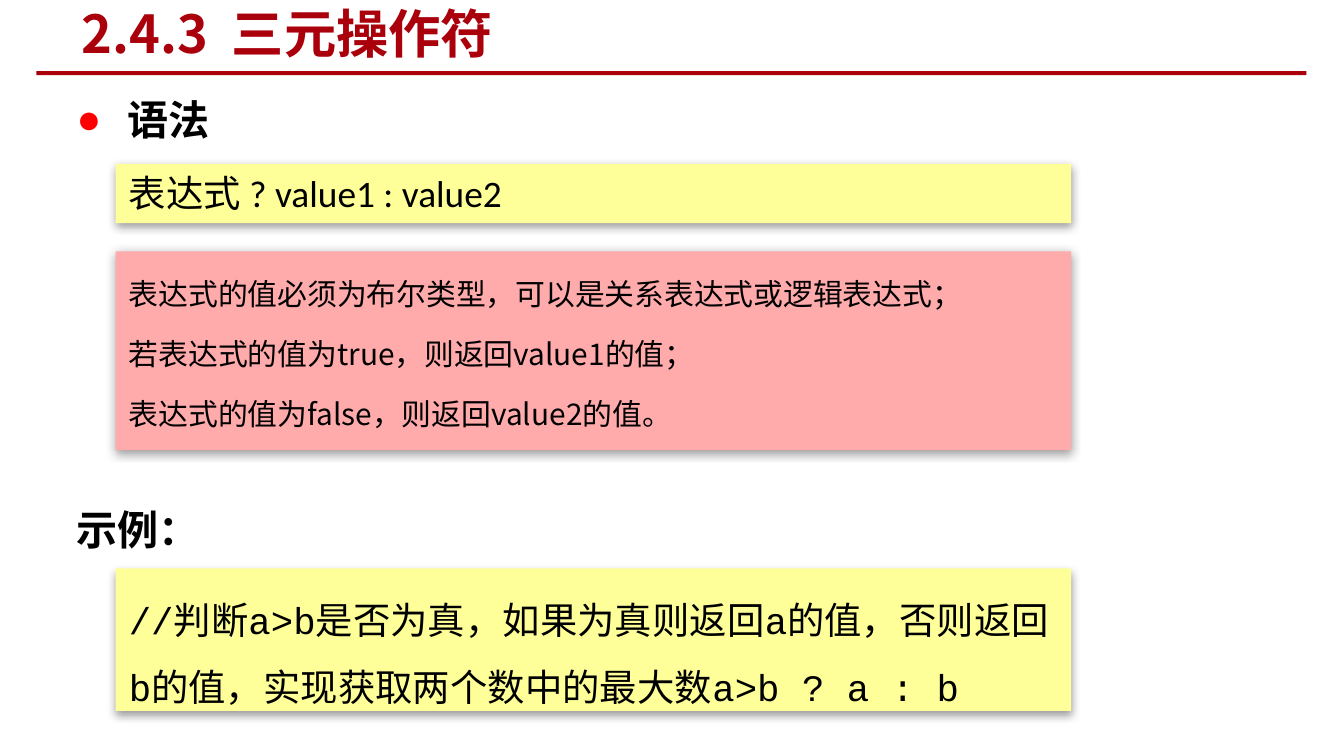
"""Build a slide on the syntax of the ternary operator."""
import pptx
import pptx.util
import pptx.dml.color
import pptx.enum.shapes
import pptx.enum.text
import pptx.oxml
import pptx.oxml.ns

Inches, Pt = pptx.util.Inches, pptx.util.Pt
RGB = pptx.dml.color.RGBColor.from_string
RECT = pptx.enum.shapes.MSO_SHAPE.RECTANGLE
ENUM = pptx.enum.text

THEME = {
    "red": "AA000B", "dot": "FF0000", "ink": "000000",
    "yellow": "FFFF99", "pink": "FFAAAB",
    "cjk": "Noto Sans CJK SC", "head": "Arial", "code": "Courier New", "text": "Calibri",
    "title": 28, "topic": 22, "large": 20, "small": 16,
}
PAGE = {"slide_width": Inches(10), "slide_height": Inches(10 * 9 / 16)}
TITLE = "2.4.3  三元操作符"
TOPICS = [("语法", True, 0), ("示例：", False, 180)]
LEFT, WIDTH = 0.86, 7.11
PANELS = [
    {"top": 1.22, "height": 0.44, "fill": "yellow", "font": "text", "size": "large",
     "lead": 1.2, "gap": 0, "lines": ["表达式 ? value1 : value2"]},
    {"top": 1.87, "height": 1.48, "fill": "pink", "font": "cjk", "size": "small",
     "lead": 1.8, "gap": 0.2, "lines": [
         "表达式的值必须为布尔类型，可以是关系表达式或逻辑表达式；",
         "若表达式的值为true，则返回value1的值；",
         "表达式的值为false，则返回value2的值。"]},
    {"top": 4.23, "height": 1.06, "fill": "yellow", "font": "code", "size": "large",
     "lead": 1.8, "gap": 0, "lines": [
         "//判断a>b是否为真，如果为真则返回a的值，否则返回b的值，实现获取两个数中的最大数a>b ? a : b"]},
]
FRAME = {
    "word_wrap": True, "auto_size": ENUM.MSO_AUTO_SIZE.NONE,
    "vertical_anchor": ENUM.MSO_ANCHOR.TOP,
    "margin_left": Inches(0.1), "margin_right": Inches(0.1),
    "margin_top": Inches(0.05), "margin_bottom": Inches(0.05),
}


def apply(target, values):
    for name, value in values.items():
        setattr(target, name, value)


def place(shape, left, top, width, height):
    apply(shape, {"left": Inches(left), "top": Inches(top),
                  "width": Inches(width), "height": Inches(height)})


def add_xml(parent, body):
    space = pptx.oxml.ns.nsdecls("a")
    for node in pptx.oxml.parse_xml(f"<a:list {space}>{body}</a:list>"):
        parent.append(node)


def write(para, text, font, size, color="ink", bold=False, lead=None, before=0):
    apply(para, {"alignment": ENUM.PP_ALIGN.LEFT, "space_before": Pt(before),
                 "space_after": Pt(0),
                 "line_spacing": Pt(THEME[size] * lead) if lead else 1.0})
    run = para.add_run()
    apply(run, {"text": text})
    apply(run.font, {"name": THEME[font], "size": Pt(THEME[size]), "bold": bold})
    run.font.color.rgb = RGB(THEME[color])
    add_xml(run.font._element, f'<a:ea typeface="{THEME["cjk"]}"/>')


def get_para(frame, index):
    return frame.add_paragraph() if index else frame.paragraphs[0]


def add_rect(slide, area, color):
    shape = slide.shapes.add_shape(RECT, *map(Inches, area))
    shape.shadow.inherit = False
    shape.fill.solid()
    shape.fill.fore_color.rgb = RGB(THEME[color])
    shape.line.fill.background()
    return shape


def add_title(slide):
    shape = slide.shapes.title
    place(shape, 0.51, 0.02, 5.3, 0.45)
    apply(shape.text_frame, {**FRAME, "vertical_anchor": ENUM.MSO_ANCHOR.MIDDLE})
    write(shape.text_frame.paragraphs[0], TITLE, "cjk", "title", "red", True)


def add_topics(slide):
    shape = slide.placeholders[1]
    place(shape, 0.47, 0.47, 9.22, 4.77)
    apply(shape.text_frame, FRAME)
    dot = (f'<a:buClr><a:srgbClr val="{THEME["dot"]}"/></a:buClr>'
           '<a:buFont typeface="Arial"/><a:buChar char="●"/>')
    for index, (text, marked, before) in enumerate(TOPICS):
        para = get_para(shape.text_frame, index)
        props = para._p.get_or_add_pPr()
        props.set("marL", str(Inches(0.38)))
        props.set("indent", str(-Inches(0.38)))
        add_xml(props, dot if marked else "<a:buNone/>")
        write(para, text, "head", "topic", bold=True, lead=1.8, before=before)


def add_panel(slide, panel):
    area = (LEFT, panel["top"], WIDTH, panel["height"])
    shape = add_rect(slide, area, panel["fill"])
    effects = shape._element.spPr.find(pptx.oxml.ns.qn("a:effectLst"))
    add_xml(effects, f'<a:outerShdw blurRad="{Pt(5)}" dist="{Pt(1.6)}" dir="5400000" '
            'rotWithShape="0"><a:srgbClr val="000000"><a:alpha val="38000"/>'
            '</a:srgbClr></a:outerShdw>')
    apply(shape.text_frame, FRAME)
    for index, text in enumerate(panel["lines"]):
        before = panel["gap"] * THEME[panel["size"]] if index else 0
        write(get_para(shape.text_frame, index), text, panel["font"], panel["size"],
              lead=panel["lead"], before=before)


def main():
    deck = pptx.Presentation()
    apply(deck, PAGE)
    slide = deck.slides.add_slide(deck.slide_layouts[1])
    add_rect(slide, (0.27, 0.53, 9.45, 0.03), "red")
    add_title(slide)
    add_topics(slide)
    for panel in PANELS:
        add_panel(slide, panel)
    deck.save("out.pptx")


if __name__ == "__main__":
    main()
